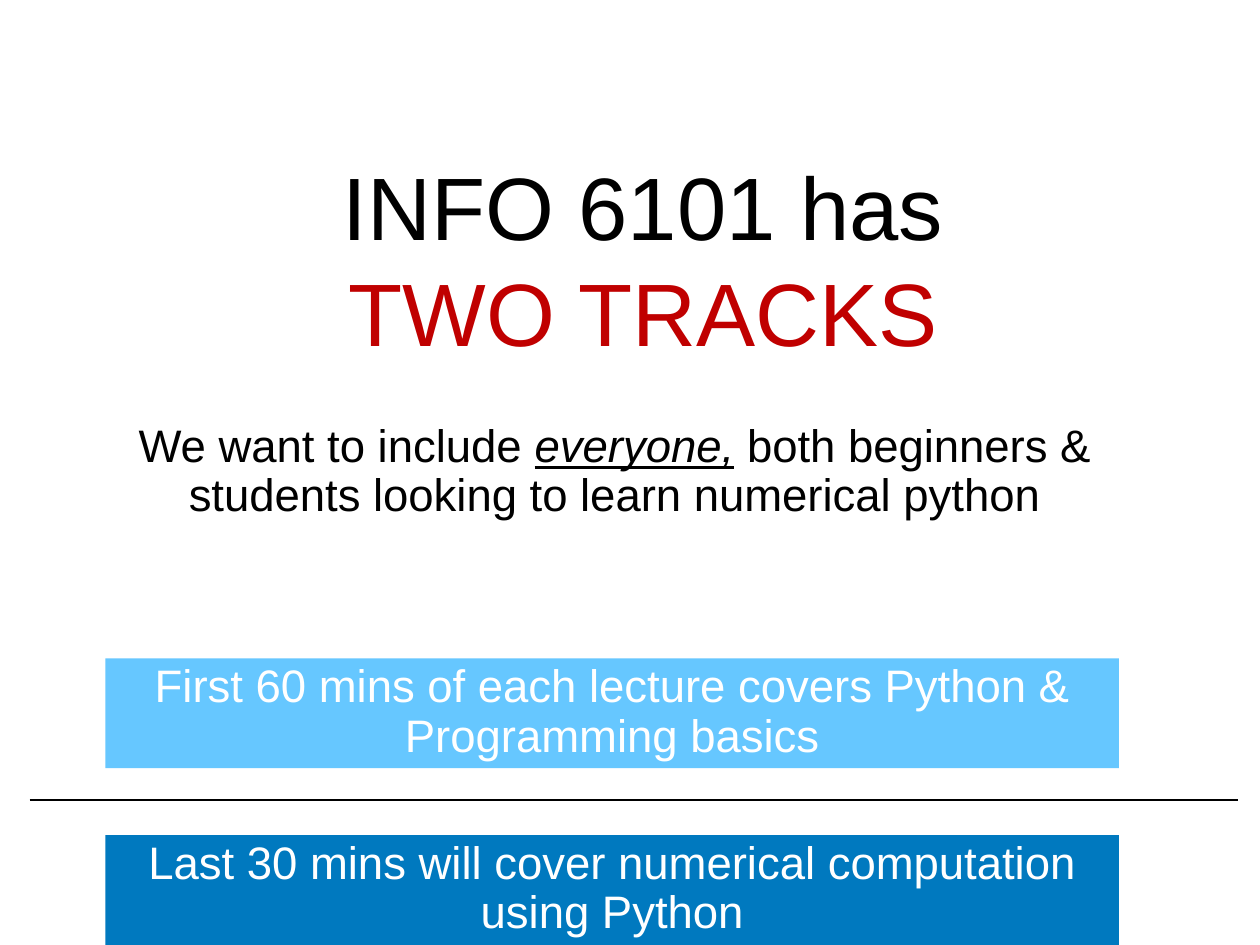
from pptx import Presentation
from pptx.dml.color import RGBColor
from pptx.enum.shapes import MSO_CONNECTOR, MSO_SHAPE
from pptx.enum.text import MSO_ANCHOR, PP_ALIGN
from pptx.oxml.ns import qn
from pptx.util import Pt
from lxml import etree

CENTER = PP_ALIGN.CENTER
TOP, BOTTOM = MSO_ANCHOR.TOP, MSO_ANCHOR.BOTTOM
RECTANGLE = MSO_SHAPE.RECTANGLE
STRAIGHT = MSO_CONNECTOR.STRAIGHT

FONT = "Arial"
BLACK, WHITE, RED = "000000", "FFFFFF", "C00000"
LIGHT_BLUE, DARK_BLUE = "66C7FF", "0079BF"
BOX_WIDTH, BOX_HEIGHT = 823.7, 89.3
TRACK_LEFT = 85.7
INSET = 4.3


def color(hex_string):
    return RGBColor.from_string(hex_string)


def set_up_frame(shape, anchor=TOP):
    frame = shape.text_frame
    frame.word_wrap = True
    frame.vertical_anchor = anchor
    frame.margin_left = frame.margin_right = Pt(INSET)
    frame.margin_top = frame.margin_bottom = Pt(INSET)
    return frame


def write_lines(frame, lines, size, spacing=1.0):
    """Write one centred paragraph per (text, colour) pair."""
    for index, (text, hex_string) in enumerate(lines):
        para = frame.paragraphs[0] if index == 0 else frame.add_paragraph()
        para.text = text
        para.alignment = CENTER
        para.line_spacing = spacing
        para.font.name = FONT
        para.font.size = Pt(size)
        para.font.color.rgb = color(hex_string)


def add_text(page, left, top, height, lines, size, spacing=1.0, anchor=TOP):
    box = page.shapes.add_textbox(Pt(left), Pt(top), Pt(BOX_WIDTH), Pt(height))
    frame = set_up_frame(box, anchor)
    write_lines(frame, lines, size, spacing)
    return frame


def add_track(page, top, fill, lines):
    track = page.shapes.add_shape(
        RECTANGLE, Pt(TRACK_LEFT), Pt(top), Pt(BOX_WIDTH), Pt(BOX_HEIGHT))
    track.shadow.inherit = False
    track.fill.solid()
    track.fill.fore_color.rgb = color(fill)
    track.line.fill.background()
    write_lines(set_up_frame(track), [(line, WHITE) for line in lines], 37, 0.9)


def add_divider(page, left, right, y):
    divider = page.shapes.add_connector(
        STRAIGHT, Pt(left), Pt(y), Pt(right), Pt(y))
    divider.line.color.rgb = color(BLACK)
    divider.line.width = Pt(2)
    etree.SubElement(divider._element.spPr, qn("a:effectLst"))


def main():
    deck = Presentation()
    deck.slide_width, deck.slide_height = Pt(1024), Pt(768)
    page = deck.slides.add_slide(deck.slide_layouts[6])

    add_text(page, 110.9, 187.9, 112.3,
             [("INFO 6101 has", BLACK), ("TWO TRACKS", RED)], 72, anchor=BOTTOM)

    intro = add_text(page, 87.8, 339.8, BOX_HEIGHT,
                     [("We want to include ", BLACK),
                      ("students looking to learn numerical python", BLACK)],
                     37, 0.9)
    first_line = intro.paragraphs[0]
    emphasis = first_line.add_run()
    emphasis.text = "everyone,"
    emphasis.font.italic = emphasis.font.underline = True
    first_line.add_run().text = " both beginners &"

    add_track(page, 535, LIGHT_BLUE,
              ["First 60 mins of each lecture covers Python &",
               "Programming basics"])
    add_track(page, 678.7, DARK_BLUE,
              ["Last 30 mins will cover numerical computation",
               "using Python"])
    add_divider(page, 24, 1006, 650)

    deck.save("out.pptx")


if __name__ == "__main__":
    main()
